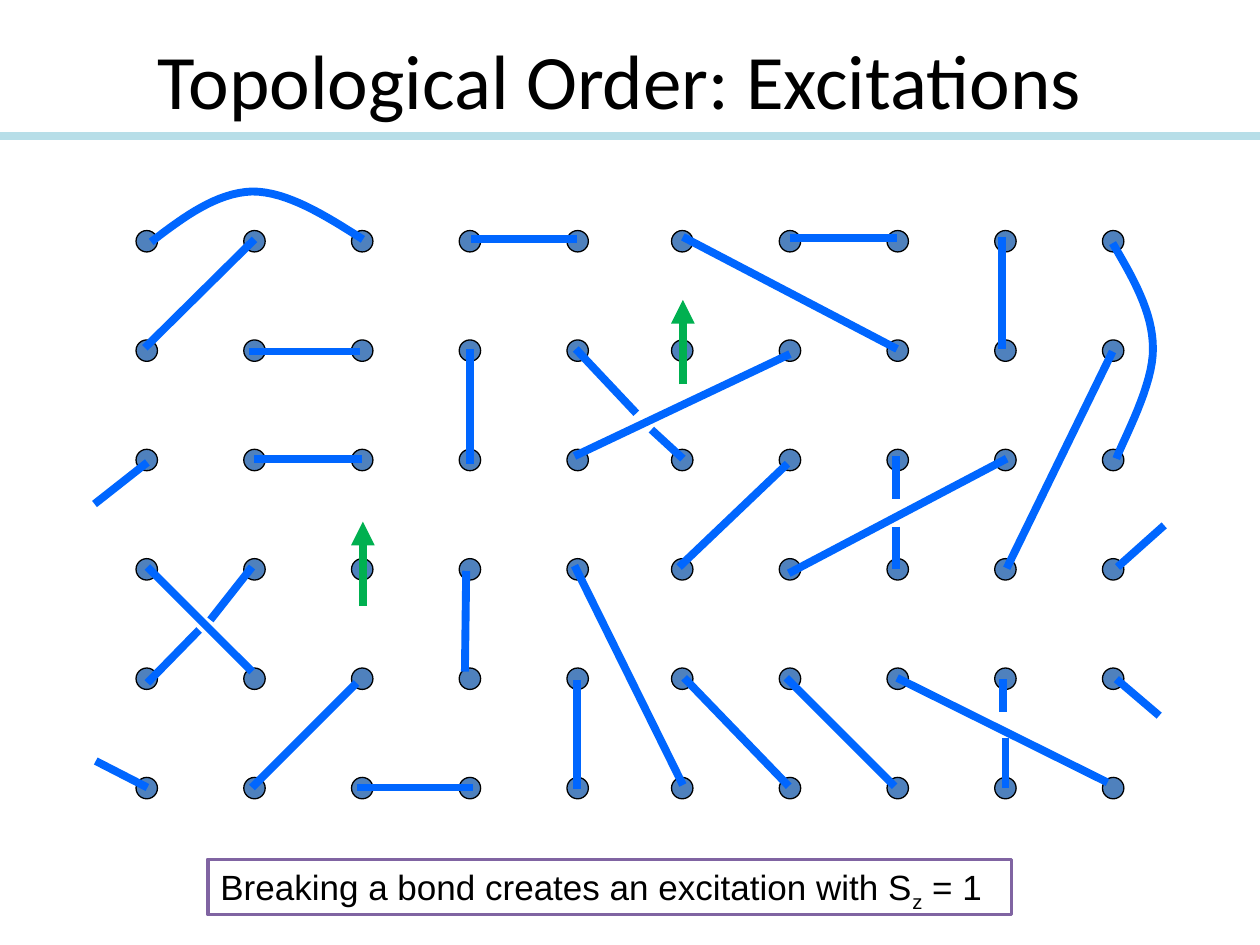
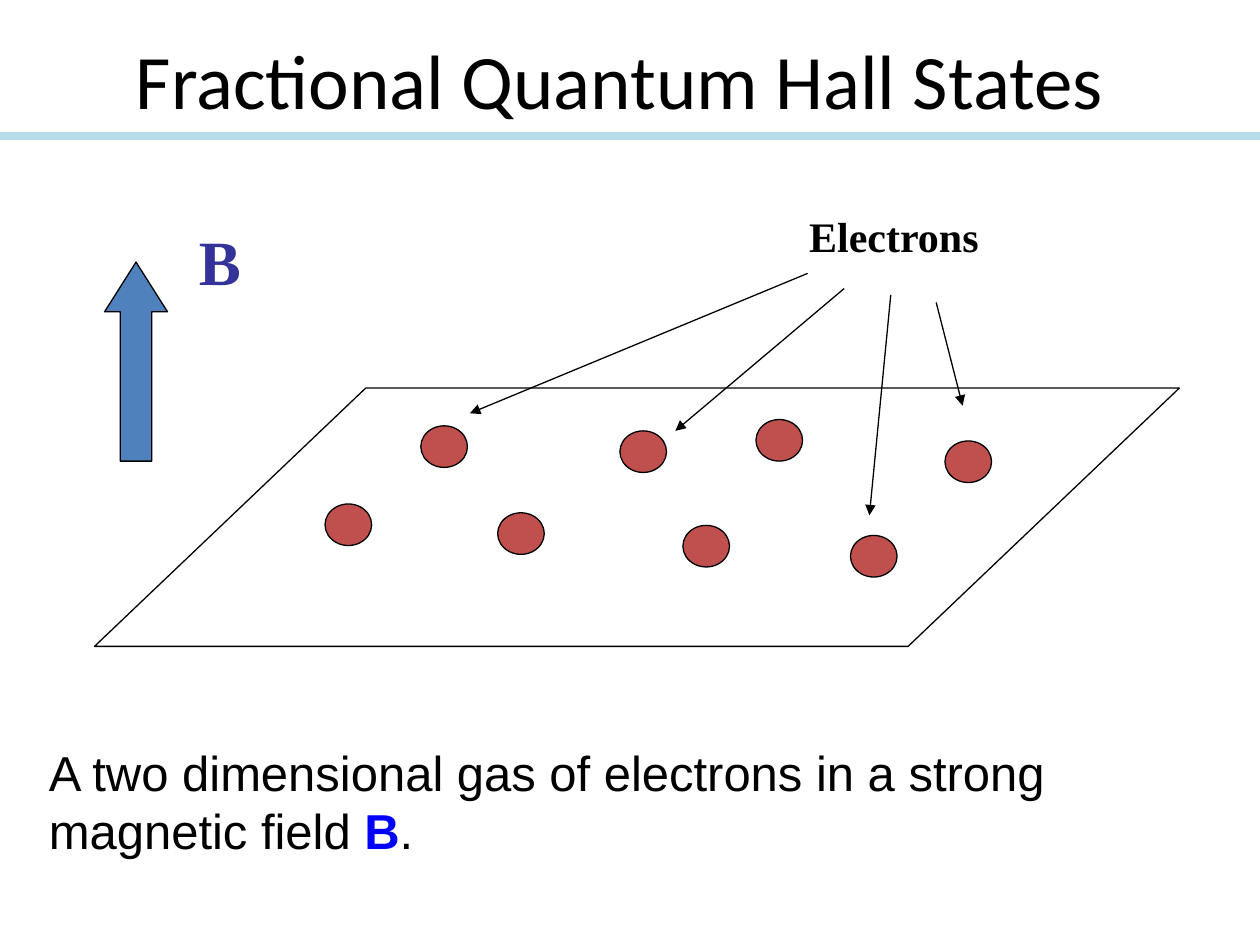
"""Build two slides on topological order and fractional quantum Hall states."""
from dataclasses import dataclass

from lxml import etree
from pptx import Presentation
from pptx.dml.color import RGBColor
from pptx.enum.shapes import MSO_CONNECTOR, MSO_SHAPE
from pptx.enum.text import MSO_ANCHOR, MSO_AUTO_SIZE, PP_ALIGN
from pptx.oxml.ns import qn
from pptx.util import Inches, Pt

STRAIGHT = MSO_CONNECTOR.STRAIGHT
OVAL, RECTANGLE = MSO_SHAPE.OVAL, MSO_SHAPE.RECTANGLE
PARALLELOGRAM, UP_ARROW = MSO_SHAPE.PARALLELOGRAM, MSO_SHAPE.UP_ARROW
TOP, MIDDLE = MSO_ANCHOR.TOP, MSO_ANCHOR.MIDDLE
LEFT, CENTER = PP_ALIGN.LEFT, PP_ALIGN.CENTER
NO_FIT, GROW = MSO_AUTO_SIZE.NONE, MSO_AUTO_SIZE.SHAPE_TO_FIT_TEXT


@dataclass(frozen=True)
class Theme:
    ink: str = "000000"
    band: str = "B7DEE8"
    site: str = "4F81BD"
    bond: str = "0066FF"
    spin: str = "00B050"
    frame: str = "8064A2"
    electron: str = "C0504D"
    field: str = "333399"
    emphasis: str = "0000FF"
    heading_font: str = "Calibri"
    body_font: str = "Arial"
    label_font: str = "Times New Roman"
    title_size: int = 44
    field_size: int = 36
    body_size: int = 28
    label_size: int = 24
    caption_size: int = 20
    thin: float = 0.75
    framed: float = 2
    band_width: float = 5
    thick: float = 4.5


theme = Theme()


def add_text(holder, *runs, font=theme.body_font, size=theme.body_size, align=LEFT,
             anchor=TOP, wrap=True, fit=GROW):
    frame = holder.text_frame
    frame.word_wrap = wrap
    frame.auto_size = fit
    frame.vertical_anchor = anchor
    paragraph = frame.paragraphs[0]
    paragraph.alignment = align
    for words, color, bold, baseline in runs:
        run = paragraph.add_run()
        run.text = words
        run.font.name = font
        run.font.size = Pt(size)
        run.font.bold = bold
        run.font.color.rgb = RGBColor.from_string(color)
        if baseline:
            run._r.get_or_add_rPr().set("baseline", str(baseline * 1000))


def add_line(slide, x1, y1, x2, y2, color=theme.ink, width=theme.thin, arrow=False):
    line = slide.shapes.add_connector(STRAIGHT, Inches(x1), Inches(y1), Inches(x2), Inches(y2))
    line.line.color.rgb = RGBColor.from_string(color)
    line.line.width = Pt(width)
    if arrow:
        etree.SubElement(line.line._get_or_add_ln(), qn("a:tailEnd"), type="triangle")
    etree.SubElement(line._element.spPr, qn("a:effectLst"))


deck = Presentation()
deck.slide_width, deck.slide_height = Inches(10), Inches(7.5)
excitations, hall_states = [deck.slides.add_slide(deck.slide_layouts[6]) for _ in range(2)]

column_gap, row_gap = (4.5 - 1.08) / 4, (6.17 - 1.83) / 5
outlined = []
for half_left in (1.08, 5.33):
    half_lattice = excitations.shapes.add_group_shape().shapes
    outlined += [
        (half_lattice, OVAL, half_left + column * column_gap, 1.83 + row * row_gap,
         0.17, 0.17, theme.site, ())
        for row in range(6) for column in range(5)
    ]
outlined.append((hall_states.shapes, PARALLELOGRAM, 0.75, 3.08, 8.61, 2.05, None, (1.05,)))
outlined += [
    (hall_states.shapes, OVAL, x, y, 0.37, 0.33, theme.electron, ())
    for x, y in [(2.58, 4), (3.95, 4.07), (4.92, 3.42), (3.34, 3.38),
                 (5.42, 4.17), (6, 3.33), (6.75, 4.25), (7.5, 3.5)]
]
outlined.append((hall_states.shapes, UP_ARROW, 0.83, 2.08, 0.5, 1.58, theme.site, (0.5, 0.79)))

for parent, preset, x, y, width, height, fill, adjustments in outlined:
    figure = parent.add_shape(preset, Inches(x), Inches(y), Inches(width), Inches(height))
    figure.shadow.inherit = False
    figure.line.color.rgb = RGBColor.from_string(theme.ink)
    figure.line.width = Pt(theme.thin)
    if fill:
        figure.fill.solid()
        figure.fill.fore_color.rgb = RGBColor.from_string(fill)
    else:
        figure.fill.background()
    for index, value in enumerate(adjustments):
        figure.adjustments[index] = value

bonds = [
    (1.17, 6.25, 0.76, 6.04), (1.67, 4.92, 2, 4.5), (1.17, 4.5, 2, 5.33),
    (1.17, 5.42, 1.58, 5), (1.17, 3.67, 0.75, 4), (2, 6.25, 2.83, 5.42),
    (2.83, 6.25, 3.75, 6.25), (3.7, 4.53, 3.69, 5.33), (2.02, 3.64, 2.87, 3.64),
    (2.02, 1.9, 1.15, 2.76), (1.98, 2.79, 2.86, 2.79), (3.73, 3.68, 3.73, 2.77),
    (4.56, 4.49, 5.42, 6.23), (4.58, 5.4, 4.58, 6.26), (4.56, 3.62, 6.27, 2.81),
    (4.57, 2.77, 5.05, 3.28), (5.17, 3.41, 5.42, 3.64), (3.74, 1.9, 4.58, 1.9),
    (5.42, 1.88, 7.12, 2.77), (6.27, 1.89, 7.12, 1.89), (6.25, 3.68, 5.39, 4.5),
    (5.43, 5.38, 6.26, 6.24), (6.26, 4.55, 7.99, 3.64), (7.11, 3.62, 7.11, 3.96),
    (7.11, 4.18, 7.11, 4.52), (6.24, 5.38, 7.1, 6.24), (7.95, 1.88, 7.95, 2.77),
    (8.87, 4.5, 9.24, 4.17), (7.12, 5.38, 8.79, 6.21), (7.96, 5.39, 7.96, 5.65),
    (7.98, 5.86, 7.98, 6.25), (8.83, 2.79, 7.99, 4.51), (8.86, 5.39, 9.2, 5.68),
]
for bond in bonds:
    add_line(excitations, *bond, color=theme.bond, width=theme.thick)

curved_bonds = [
    [(1.2, 1.92), (1.46, 1.72), (1.72, 1.53), (2, 1.52), (2.28, 1.52), (2.58, 1.71), (2.88, 1.9)],
    [(8.83, 1.93), (8.99, 2.2), (9.15, 2.48), (9.15, 2.76), (9.16, 3.05), (8.91, 3.5), (8.86, 3.64)],
]
steps = 16
for knots in curved_bonds:
    points = []
    for first in (0, 3):
        for step in range(1, steps + 1):
            t = step / steps
            weights = ((1 - t) ** 3, 3 * t * (1 - t) ** 2, 3 * t ** 2 * (1 - t), t ** 3)
            points.append([
                Inches(sum(w * knot[axis] for w, knot in zip(weights, knots[first:first + 4])))
                for axis in (0, 1)
            ])
    outline = excitations.shapes.build_freeform(Inches(knots[0][0]), Inches(knots[0][1]))
    outline.add_line_segments(points, close=False)
    arc = outline.convert_to_shape()
    arc.shadow.inherit = False
    arc.fill.background()
    arc.line.color.rgb = RGBColor.from_string(theme.bond)
    arc.line.width = Pt(theme.thick)

for x, tip in [(5.42, 2.38), (2.88, 4.14)]:
    add_line(excitations, x, tip + 0.67, x, tip, color=theme.spin, width=theme.thick, arrow=True)

for pointer in [(6.41, 2.17, 3.73, 3.28), (6.7, 2.29, 5.36, 3.42),
                (7.07, 2.34, 6.9, 4.09), (7.43, 2.4, 7.64, 3.22)]:
    add_line(hall_states, *pointer, arrow=True)

for slide, heading in [(excitations, "Topological Order: Excitations"),
                       (hall_states, "Fractional Quantum Hall States")]:
    add_line(slide, 0, 1.08, 10, 1.08, color=theme.band, width=theme.band_width)
    title = slide.shapes.add_textbox(Inches(0.42), 0, Inches(9), Inches(1.25))
    add_text(title, (heading, theme.ink, False, 0), font=theme.heading_font,
             size=theme.title_size, align=CENTER, anchor=MIDDLE, fit=NO_FIT)

caption = excitations.shapes.add_shape(
    RECTANGLE, Inches(1.65), Inches(6.82), Inches(6.38), Inches(0.44))
caption.shadow.inherit = False
caption.fill.background()
caption.line.color.rgb = RGBColor.from_string(theme.frame)
caption.line.width = Pt(theme.framed)
add_text(caption, ("Breaking a bond creates an excitation with S", theme.ink, False, 0),
         ("z", theme.ink, False, -25), (" = 1", theme.ink, False, 0),
         size=theme.caption_size, wrap=False)

field_label = hall_states.shapes.add_textbox(Inches(1.48), Inches(1.72), Inches(0.53), Inches(0.7))
add_text(field_label, ("B", theme.field, True, 0), font=theme.label_font,
         size=theme.field_size, wrap=False)

summary = hall_states.shapes.add_textbox(Inches(0.29), Inches(5.84), Inches(9.37), Inches(1.03))
add_text(summary,
         ("A two dimensional gas of electrons in a strong magnetic field ", theme.ink, False, 0),
         ("B", theme.emphasis, True, 0), (".", theme.ink, False, 0))

electron_label = hall_states.shapes.add_textbox(
    Inches(6.32), Inches(1.62), Inches(1.55), Inches(0.5))
add_text(electron_label, ("Electrons", theme.ink, True, 0), font=theme.label_font,
         size=theme.label_size, align=CENTER, wrap=False)

deck.save("out.pptx")
